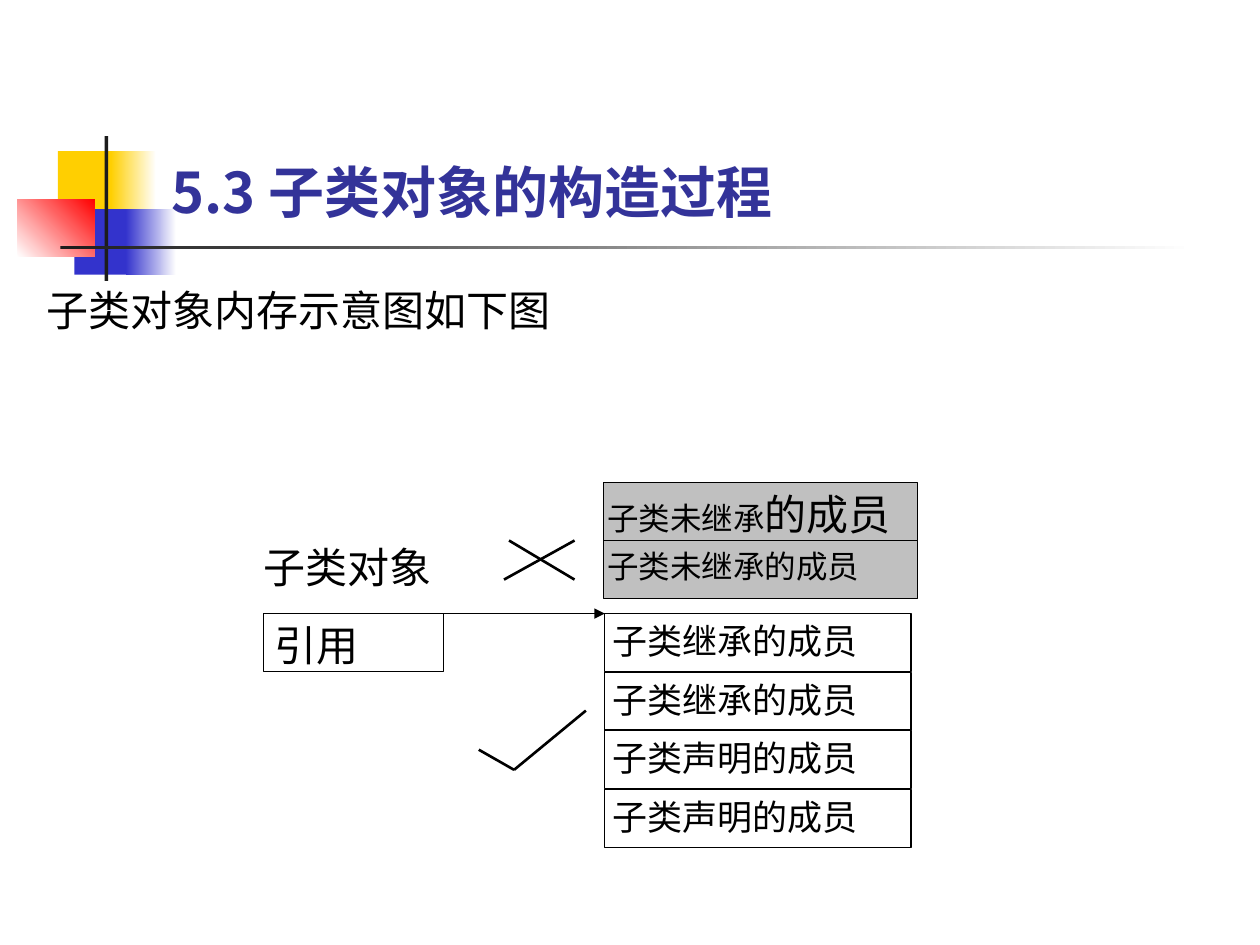
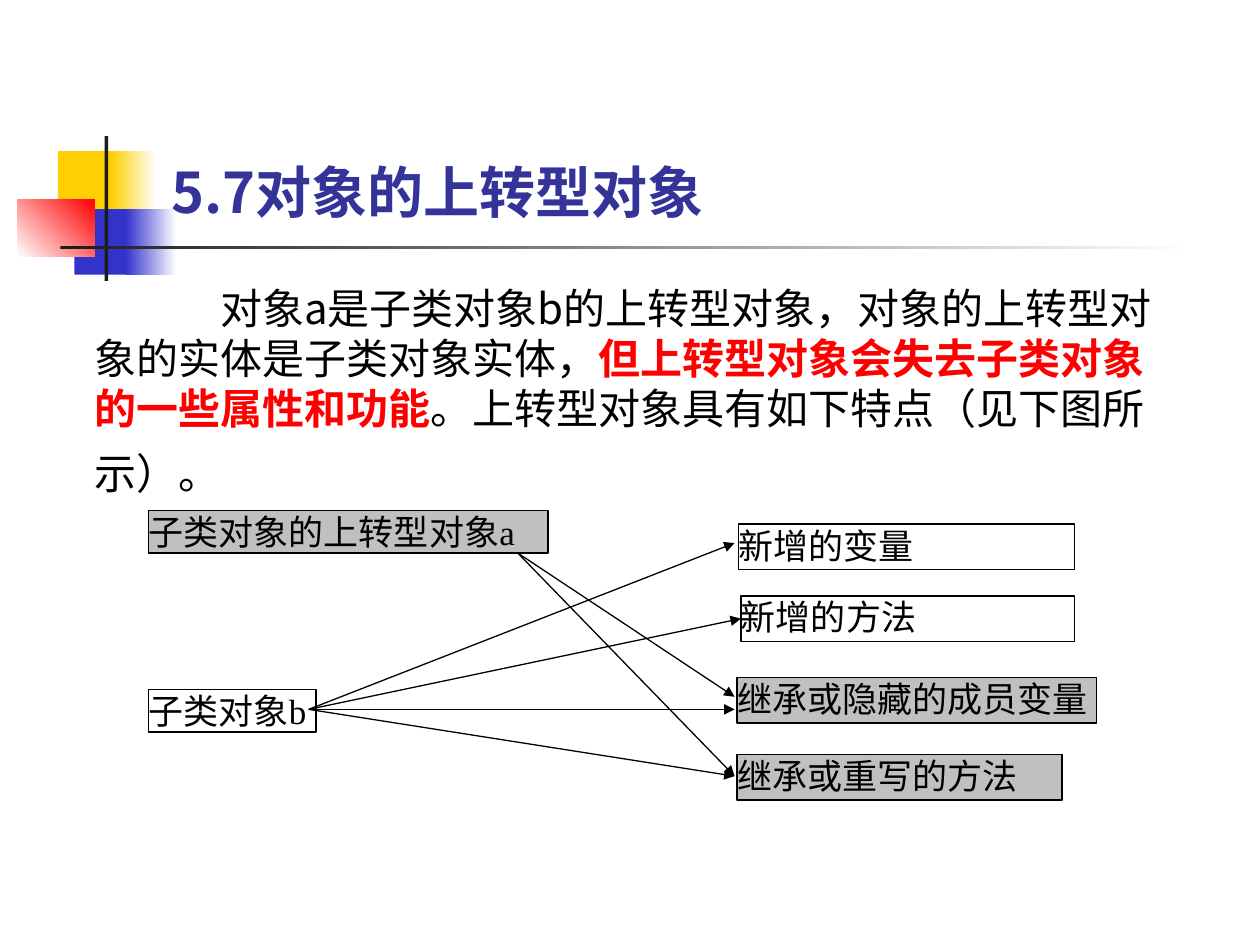
from dataclasses import dataclass

from lxml import etree
from pptx import Presentation
from pptx.dml.color import RGBColor
from pptx.enum.shapes import MSO_CONNECTOR, MSO_SHAPE
from pptx.enum.text import MSO_ANCHOR, PP_ALIGN
from pptx.oxml.ns import qn
from pptx.util import Inches, Pt

RECT = MSO_SHAPE.RECTANGLE
STRAIGHT = MSO_CONNECTOR.STRAIGHT
TOP, BOTTOM = MSO_ANCHOR.TOP, MSO_ANCHOR.BOTTOM
LEFT, JUSTIFY = PP_ALIGN.LEFT, PP_ALIGN.JUSTIFY
LEFT_SIDE = 1
TITLE_ONLY = 5


@dataclass(frozen=True)
class Theme:
    black: str = "000000"
    white: str = "FFFFFF"
    gray: str = "C0C0C0"
    red: str = "FF0000"
    yellow: str = "FFCF01"
    blue: str = "3333CC"
    rule: str = "1C1C1C"
    title: str = "333399"
    heading_font: str = "Noto Sans CJK SC"
    body_font: str = "Lato"
    box_font: str = "Times New Roman"
    title_size: int = 32
    body_size: int = 24
    box_size: int = 20
    small_size: int = 18
    thin: float = 0.75
    thick: float = 1.5


class Deck:
    def __init__(self, theme):
        self.t = theme
        self.prs = Presentation()
        self.prs.slide_width, self.prs.slide_height = Inches(10), Inches(7.5)
        self.s = None

    def slide(self, title):
        self.s = self.prs.slides.add_slide(self.prs.slide_layouts[TITLE_ONLY])
        self.emblem()
        sp = self.s.shapes.title
        self.s.shapes._spTree.append(sp._element)  # in front of the emblem
        sp.left, sp.top = Inches(1.26), Inches(0.23)
        sp.width, sp.height = Inches(8.52), Inches(1.6)
        tf = self.frame(sp, 0.1, 0.1, 0.05, BOTTOM)
        tf.text = title
        p = tf.paragraphs[0]
        p.alignment = LEFT
        self.font(p.font, self.t.heading_font, self.t.title_size, self.t.title, True)

    def emblem(self):
        t = self.t
        self.rect(0.46, 1.2, 0.48, 0.52, t.yellow)
        self.rect(0.88, 1.2, 0.36, 0.52, t.yellow, t.white)
        self.rect(0.59, 1.66, 0.46, 0.52, t.blue)
        self.rect(1, 1.66, 0.4, 0.52, t.blue, t.white)
        self.rect(0.14, 1.58, 0.61, 0.46, t.white, t.red, angle=45)
        self.rect(0.83, 1.08, 0.03, 1.15, t.rule)
        self.rect(0.48, 1.95, 9, 0.03, t.rule, t.white)

    def rect(self, x, y, w, h, color, fade_to=None, angle=0):
        sp = self.s.shapes.add_shape(RECT, Inches(x), Inches(y), Inches(w), Inches(h))
        sp.shadow.inherit = False
        sp.line.fill.background()
        if fade_to:
            sp.fill.gradient()
            sp.fill.gradient_angle = angle
            for stop, rgb in zip(sp.fill.gradient_stops, (color, fade_to)):
                stop.color.rgb = RGBColor.from_string(rgb)
        else:
            sp.fill.solid()
            sp.fill.fore_color.rgb = RGBColor.from_string(color)
        return sp

    def frame(self, sp, left, right, vertical, anchor=TOP):
        tf = sp.text_frame
        tf.word_wrap = True
        tf.vertical_anchor = anchor
        tf.margin_left, tf.margin_right = Inches(left), Inches(right)
        tf.margin_top = tf.margin_bottom = Inches(vertical)
        return tf

    def font(self, font, name, size, color, bold=False):
        font.name, font.size, font.bold = name, Pt(size), bold
        font.color.rgb = RGBColor.from_string(color)
        ea = etree.SubElement(font._element, qn("a:ea"))
        ea.set("typeface", self.t.body_font)

    def box(self, x, y, w, h, text, fill, size=None, left=0, vertical=0):
        """Outlined box; text is a string or a list of (text, size) runs."""
        t = self.t
        sp = self.rect(x, y, w, h, fill)
        sp.line.color.rgb = RGBColor.from_string(t.black)
        sp.line.width = Pt(t.thin)
        p = self.frame(sp, left, 0, vertical).paragraphs[0]
        p.alignment = JUSTIFY
        if isinstance(text, str):
            p.add_run().text = text
            self.font(p.font, t.box_font, size or t.box_size, t.black)
        else:
            for words, points in text:
                r = p.add_run()
                r.text = words
                self.font(r.font, t.box_font, points, t.black)
        return sp

    def text(self, x, y, w, h, inset=0.1):
        sp = self.s.shapes.add_textbox(Inches(x), Inches(y), Inches(w), Inches(h))
        return self.frame(sp, inset, inset, 0.05).paragraphs[0]

    def line(self, start, end, width, arrow=False, target=None):
        c = self.s.shapes.add_connector(STRAIGHT, *map(Inches, start + end))
        c.line.color.rgb = RGBColor.from_string(self.t.black)
        c.line.width = Pt(width)
        if arrow:
            etree.SubElement(c.line._get_or_add_ln(), qn("a:tailEnd"), type="triangle")
        etree.SubElement(c._element.spPr, qn("a:effectLst"))
        if target is not None:
            c.end_connect(target, LEFT_SIDE)


def memory_slide(d):
    t = d.t
    d.slide("5.3 子类对象的构造过程")
    p = d.text(0.27, 2.21, 9.52, 4.5)
    p.add_run().text = "子类对象内存示意图如下图"
    d.font(p.font, t.body_font, t.body_size, t.black)

    row = 0.46
    lost = [
        [("子类未继承", t.small_size), ("的成员", t.body_size)],
        [("子类未继承的成员", t.small_size)],
    ]
    for i, member in enumerate(lost):
        d.box(4.79, 3.83 + i * row, 2.49, row, member, t.gray, left=0.03, vertical=0.05)

    p = d.text(2.09, 4.25, 1.57, row, inset=0)
    p.add_run().text = "子类对象"
    d.font(p.font, t.box_font, t.body_size, t.black)
    d.box(2.09, 4.87, 1.43, row, "引用", t.white, t.body_size, 0.09, 0.05)
    kept = ["子类继承的成员"] * 2 + ["子类声明的成员"] * 2
    for i, member in enumerate(kept):
        d.box(4.8, 4.87 + i * 0.465, 2.43, row, member, t.white, left=0.06, vertical=0.05)

    d.line((3.51, 4.87), (4.8, 4.87), t.thin, arrow=True)
    cross = [((4.04, 4.29), (4.56, 4.6)), ((4.56, 4.29), (4, 4.6))]
    tick = [((3.8, 5.95), (4.08, 6.11)), ((4.08, 6.11), (4.65, 5.64))]
    for start, end in cross + tick:
        d.line(start, end, t.thick)


def upcast_slide(d):
    t = d.t
    d.slide("5.7对象的上转型对象")
    p = d.text(0.27, 2.19, 9.21, 4.5)
    pPr = p._p.get_or_add_pPr()
    pPr.set("marL", str(Inches(0.38)))
    pPr.set("indent", str(Inches(1)))
    plain = (t.heading_font, t.body_size, t.black)
    for words, style in (
        ("对象a是子类对象b的上转型对象，对象的上转型对象的实体是子类对象实体，", plain),
        ("但上转型对象会失去子类对象的一些属性和功能",
         (t.heading_font, t.body_size, t.red, True)),
        ("。上转型对象具有如下特点（见下图所示）。", plain),
        (" ", (t.body_font, t.title_size, t.black)),
    ):
        r = p.add_run()
        r.text = words
        d.font(r.font, *style)

    d.box(1.18, 5.47, 1.33, 0.34, "子类对象b", t.white)
    d.box(1.18, 4.05, 3.17, 0.34, "子类对象的上转型对象a", t.gray)
    h = 0.36
    d.box(5.85, 5.38, 2.85, h, "继承或隐藏的成员变量", t.gray)
    d.box(5.85, 5.99, 2.58, h, "继承或重写的方法", t.gray)
    d.box(5.86, 4.16, 2.67, h, "新增的变量", t.white)
    new_method = d.box(5.88, 4.73, 2.65, h, "新增的方法", t.white)

    upcast, child = (4.11, 4.39), (2.45, 5.63)
    for start, end_y in ((upcast, 5.53), (upcast, 6.16),
                         (child, 5.63), (child, 6.16), (child, 4.31)):
        d.line(start, (5.83, end_y), t.thin, arrow=True)
    d.line(child, (5.88, 4.91), t.thin, arrow=True, target=new_method)


def main():
    d = Deck(Theme())
    memory_slide(d)
    upcast_slide(d)
    d.prs.save("out.pptx")


if __name__ == "__main__":
    main()
